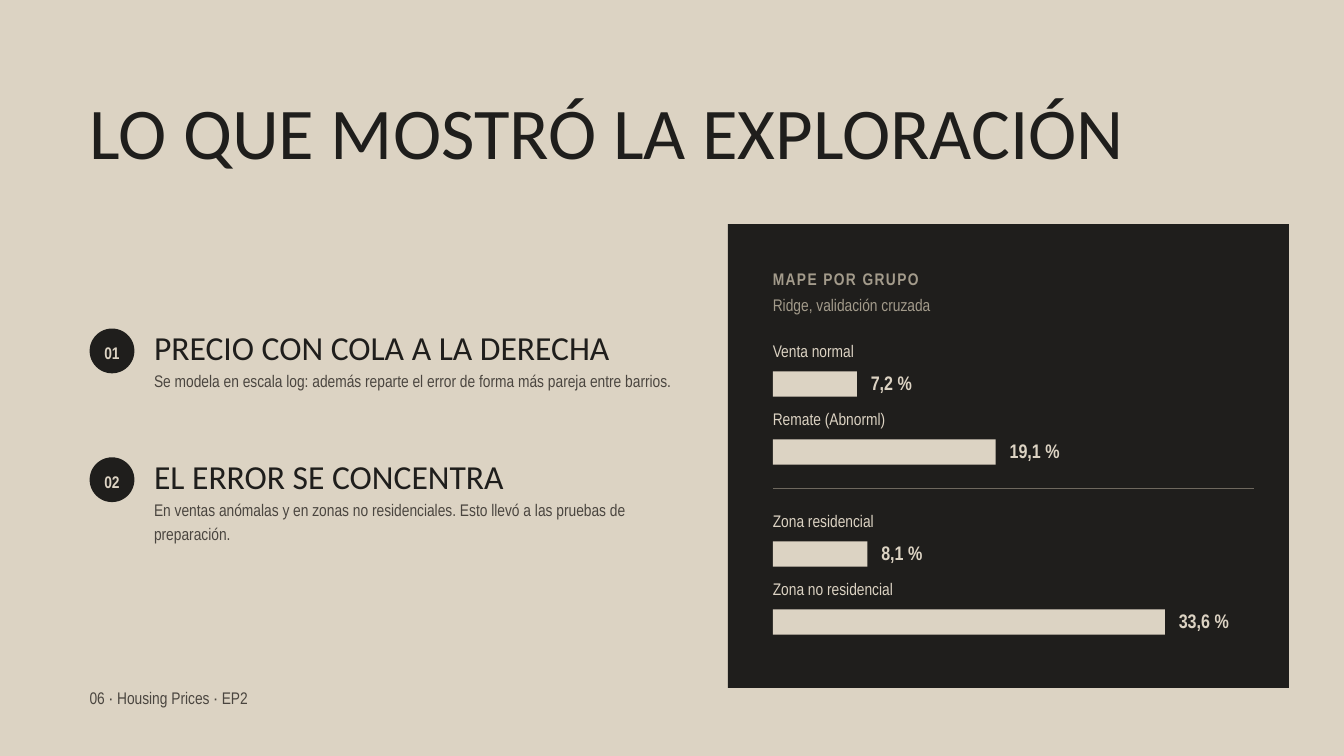
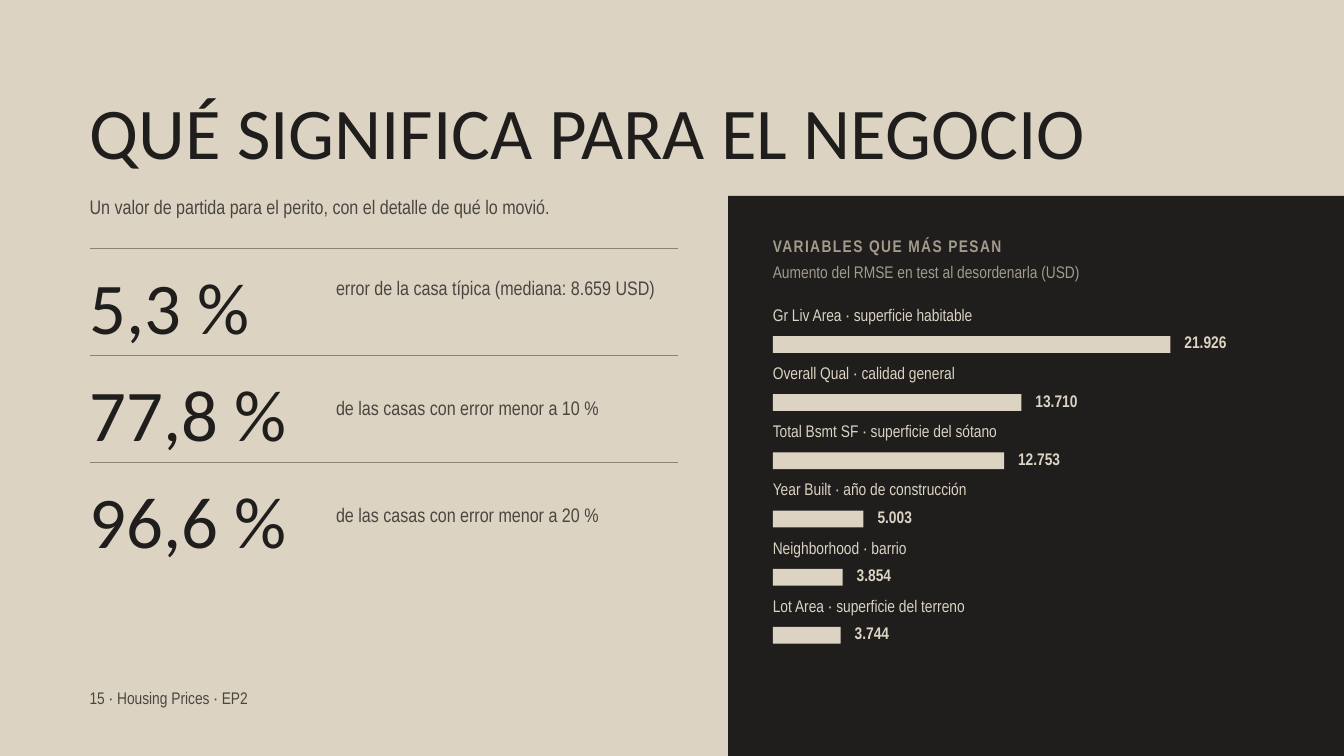
from dataclasses import dataclass
from typing import Any, NamedTuple

import lxml.etree
import pptx
import pptx.dml.color
import pptx.enum.shapes
import pptx.enum.text
import pptx.oxml.ns
import pptx.util

Pt = pptx.util.Pt
RGB = pptx.dml.color.RGBColor
SHAPE = pptx.enum.shapes.MSO_SHAPE
STRAIGHT = pptx.enum.shapes.MSO_CONNECTOR.STRAIGHT
ANCHOR = pptx.enum.text.MSO_ANCHOR
ALIGN = pptx.enum.text.PP_ALIGN
AUTO_SIZE = pptx.enum.text.MSO_AUTO_SIZE
qn = pptx.oxml.ns.qn


class Style(NamedTuple):
    font: str
    size: float
    color: RGB
    leading: float
    bold: bool = False
    spacing: float = 0
    align: Any = ALIGN.LEFT
    anchor: Any = ANCHOR.TOP
    inset: float = 0


class Box(NamedTuple):
    x: float
    y: float
    w: float
    h: float


class Bar(NamedTuple):
    label: str
    value: float
    shown: str


class Finding(NamedTuple):
    number: str
    heading: str
    detail: str


class Stat(NamedTuple):
    figure: str
    meaning: str
    drop: float  # from the rule down to the meaning


# Theme: colours and type sizes
SAND = RGB(0xDC, 0xD3, 0xC3)
INK = RGB(0x1F, 0x1E, 0x1C)
BROWN = RGB(0x4A, 0x45, 0x3F)
STONE = RGB(0xA3, 0x9B, 0x8B)
HEAD, BODY = "Calibri", "Arial Narrow"


@dataclass(frozen=True)
class Theme:
    sand: RGB = SAND
    ink: RGB = INK
    rule: RGB = RGB(0x8C, 0x84, 0x76)
    panel_rule: RGB = RGB(0x6E, 0x68, 0x5E)
    title: Style = Style(HEAD, 78, INK, 81.9)
    figure: Style = Style(HEAD, 78, INK, 78)
    heading: Style = Style(HEAD, 36, INK, 39.6)
    lead: Style = Style(BODY, 21, BROWN, 28.4)
    text: Style = Style(BODY, 18, BROWN, 25.2)
    badge: Style = Style(BODY, 18, SAND, 25.2, True, align=ALIGN.CENTER,
                         anchor=ANCHOR.MIDDLE, inset=4.3)
    panel_head: Style = Style(BODY, 18, STONE, 25.2, True, 1.5)
    panel_note: Style = Style(BODY, 18, STONE, 25.2)
    bar_label: Style = Style(BODY, 18, SAND, 25.2)
    value_large: Style = Style(BODY, 21, SAND, 29.4, True)
    value_small: Style = Style(BODY, 18, SAND, 25.2, True)


THEME = Theme()


@dataclass(frozen=True)
class BarSpec:
    scale: float  # points per unit of value
    pitch: float
    bar_drop: float
    bar_h: float
    value_drop: float
    char_w: float
    value_style: Style


LARGE_BARS = BarSpec(12.5, 72.8, 36.5, 27, 31.6, 13.6, THEME.value_large)
SMALL_BARS = BarSpec(426 / 21926, 62.35, 37.4, 18, 29.7, 11.8, THEME.value_small)

# Shared layout
SLIDE_W, SLIDE_H = 1440, 810
LEFT, PANEL_X, PANEL_TEXT_X = 96, 780, 828
PANEL_TEXT_W, LINE_H = 531, 31.5


def set_all(obj: Any, values: dict[str, Any]) -> None:
    for name, value in values.items():
        setattr(obj, name, value)


def place(sp: Any, box: Box) -> None:
    set_all(sp, dict(zip(("left", "top", "width", "height"), map(Pt, box))))


def write(sp: Any, text: str, style: Style) -> None:
    tf = sp.text_frame
    inset = Pt(style.inset)
    set_all(tf, {"text": text, "word_wrap": True, "auto_size": AUTO_SIZE.NONE,
                 "vertical_anchor": style.anchor, "margin_left": inset,
                 "margin_right": inset, "margin_top": inset, "margin_bottom": inset})
    p = tf.paragraphs[0]
    if sp.is_placeholder:
        pPr = p._p.get_or_add_pPr()
        pPr.set("marL", "0")
        pPr.set("indent", "0")
        lxml.etree.SubElement(pPr, qn("a:buNone"))
    set_all(p, {"alignment": style.align, "line_spacing": Pt(style.leading),
                "space_before": Pt(0), "space_after": Pt(0)})
    r = p.runs[0]
    set_all(r.font, {"name": style.font, "size": Pt(style.size), "bold": style.bold})
    r.font.color.rgb = style.color
    if style.spacing:
        r._r.get_or_add_rPr().set("spc", str(round(style.spacing * 100)))


def add_text(s: Any, box: Box, text: str, style: Style) -> None:
    write(s.shapes.add_textbox(*map(Pt, box)), text, style)


def fill_placeholder(s: Any, idx: int, box: Box, text: str, style: Style) -> None:
    sp = s.placeholders[idx]
    place(sp, box)
    write(sp, text, style)


def add_block(s: Any, box: Box, color: RGB, kind: Any = SHAPE.RECTANGLE) -> Any:
    sp = s.shapes.add_shape(kind, *map(Pt, box))
    sp.shadow.inherit = False
    sp.fill.solid()
    sp.fill.fore_color.rgb = color
    sp.line.fill.background()
    return sp


def add_rule(s: Any, x: float, y: float, w: float, color: RGB) -> None:
    line = s.shapes.add_connector(STRAIGHT, *map(Pt, (x, y, x + w, y)))
    line.line.width = Pt(0.75)
    line.line.color.rgb = color
    lxml.etree.SubElement(line._element.spPr, qn("a:effectLst"))


def add_slide(prs: Any, layout: int, title: str, number: str) -> Any:
    """Add a slide with the shared title and footer."""
    s = prs.slides.add_slide(prs.slide_layouts[layout])
    fill_placeholder(s, 0, Box(LEFT, 105, 1285, 75.6), title, THEME.title)
    add_text(s, Box(LEFT, 733, 618, LINE_H), f"{number} · Housing Prices · EP2", THEME.text)
    return s


def add_panel(s: Any, box: Box, text_y: float, heading: str, note: str) -> None:
    add_block(s, box, THEME.ink)
    for y, text, style in ((text_y, heading, THEME.panel_head),
                           (text_y + 28, note, THEME.panel_note)):
        add_text(s, Box(PANEL_TEXT_X, y, PANEL_TEXT_W, LINE_H), text, style)


def add_bars(s: Any, y: float, bars: list[Bar], spec: BarSpec) -> None:
    for i, bar in enumerate(bars):
        top = y + i * spec.pitch
        w = bar.value * spec.scale
        add_text(s, Box(PANEL_TEXT_X, top, PANEL_TEXT_W, LINE_H), bar.label, THEME.bar_label)
        add_block(s, Box(PANEL_TEXT_X, top + spec.bar_drop, w, spec.bar_h), THEME.sand)
        value_box = Box(PANEL_TEXT_X + w + 15, top + spec.value_drop,
                        len(bar.shown) * spec.char_w, spec.value_style.leading + 6.5)
        add_text(s, value_box, bar.shown, spec.value_style)


# Slide content
FINDINGS = [
    Finding("01", "PRECIO CON COLA A LA DERECHA",
            "Se modela en escala log: además reparte el error de forma más pareja entre barrios."),
    Finding("02", "EL ERROR SE CONCENTRA",
            "En ventas anómalas y en zonas no residenciales. Esto llevó a las pruebas de preparación."),
]
SALE_BARS = [Bar("Venta normal", 7.2, "7,2 %"), Bar("Remate (Abnorml)", 19.1, "19,1 %")]
ZONE_BARS = [Bar("Zona residencial", 8.1, "8,1 %"), Bar("Zona no residencial", 33.6, "33,6 %")]
STATS = [
    Stat("5,3 %", "error de la casa típica (mediana: 8.659 USD)", 26.6),
    Stat("77,8 %", "de las casas con error menor a 10 %", 40.6),
    Stat("96,6 %", "de las casas con error menor a 20 %", 40.6),
]
VARIABLE_BARS = [
    Bar("Gr Liv Area · superficie habitable", 21926, "21.926"),
    Bar("Overall Qual · calidad general", 13710, "13.710"),
    Bar("Total Bsmt SF · superficie del sótano", 12753, "12.753"),
    Bar("Year Built · año de construcción", 5003, "5.003"),
    Bar("Neighborhood · barrio", 3854, "3.854"),
    Bar("Lot Area · superficie del terreno", 3744, "3.744"),
]


def build_exploration(prs: Any) -> None:
    s = add_slide(prs, 4, "LO QUE MOSTRÓ LA EXPLORACIÓN", "06")
    # Error by group
    add_panel(s, Box(PANEL_X, 240, 601, 497), 284.4, "MAPE POR GRUPO",
              "Ridge, validación cruzada")
    add_bars(s, 361.4, SALE_BARS, LARGE_BARS)
    add_rule(s, PANEL_TEXT_X, 523, 516, THEME.panel_rule)
    add_bars(s, 543.6, ZONE_BARS, LARGE_BARS)
    # Numbered findings
    for i, finding in enumerate(FINDINGS):
        y = 352 + i * 138
        badge = add_block(s, Box(LEFT, y, 48, 48), THEME.ink, SHAPE.OVAL)
        write(badge, finding.number, THEME.badge)
        fill_placeholder(s, 2 * i + 1, Box(165, y + 2.3, 562, 40), finding.heading, THEME.heading)
        fill_placeholder(s, 2 * i + 2, Box(165, y + 42, 562, 57), finding.detail, THEME.text)


def build_business(prs: Any) -> None:
    s = add_slide(prs, 1, "QUÉ SIGNIFICA PARA EL NEGOCIO", "15")
    # Weight of each variable
    add_panel(s, Box(PANEL_X, 210, SLIDE_W - PANEL_X, SLIDE_H - 210), 248.4,
              "VARIABLES QUE MÁS PESAN", "Aumento del RMSE en test al desordenarla (USD)")
    add_bars(s, 322.6, VARIABLE_BARS, SMALL_BARS)
    # Key figures
    fill_placeholder(s, 1, Box(LEFT, 205.2, 649, 34.6),
                     "Un valor de partida para el perito, con el detalle de qué lo movió.", THEME.lead)
    for i, stat in enumerate(STATS):
        y = 266 + i * 114.75
        add_rule(s, LEFT, y, 630.5, THEME.rule)
        add_text(s, Box(LEFT, y + 30, 247, 70), stat.figure, THEME.figure)
        add_text(s, Box(360, y + stat.drop, 372, 34.6), stat.meaning, THEME.lead)


def main() -> None:
    prs = pptx.Presentation()
    set_all(prs, {"slide_width": Pt(SLIDE_W), "slide_height": Pt(SLIDE_H)})
    fill = prs.slide_master.background.fill
    fill.solid()
    fill.fore_color.rgb = THEME.sand
    build_exploration(prs)
    build_business(prs)
    prs.save("out.pptx")


if __name__ == "__main__":
    main()
